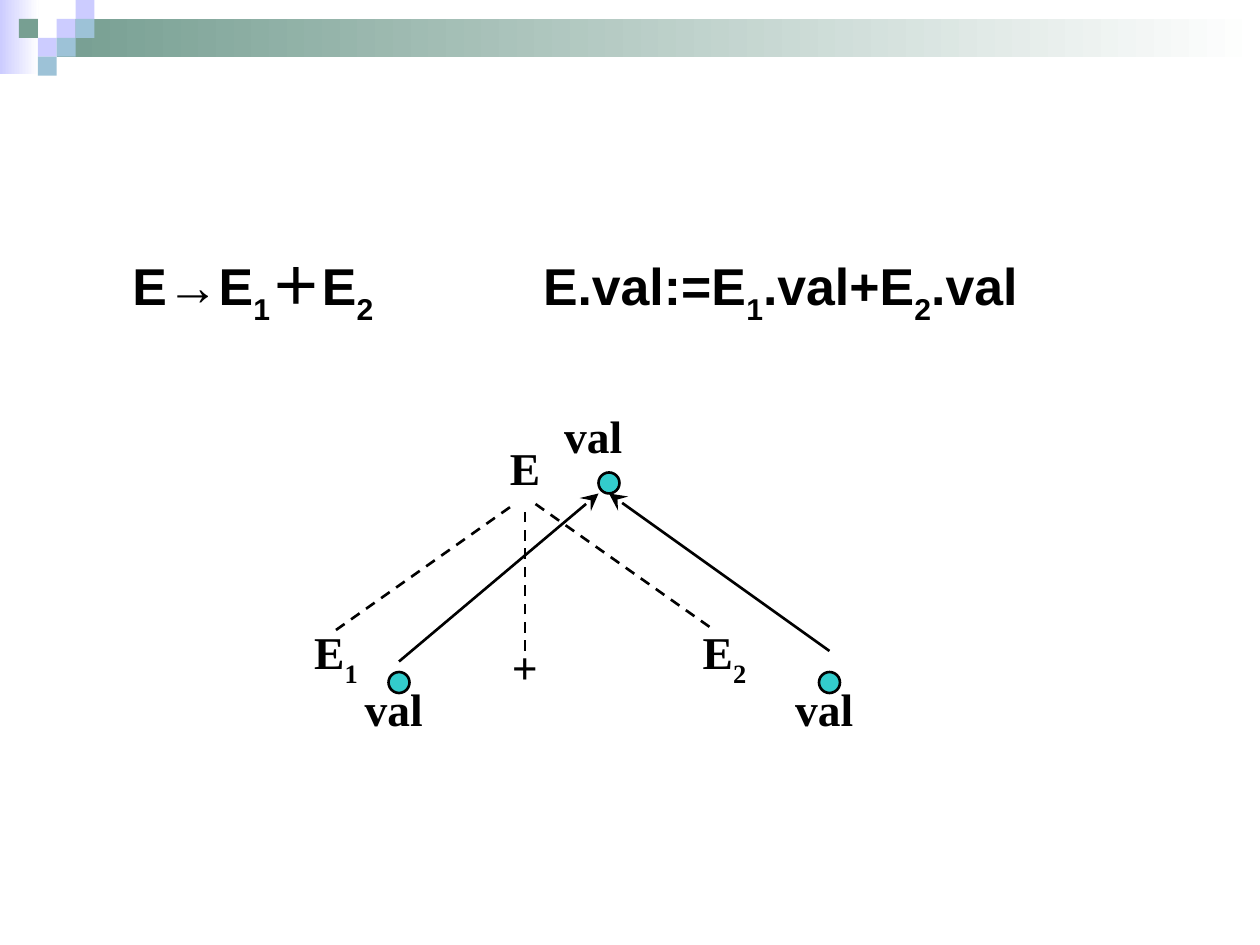
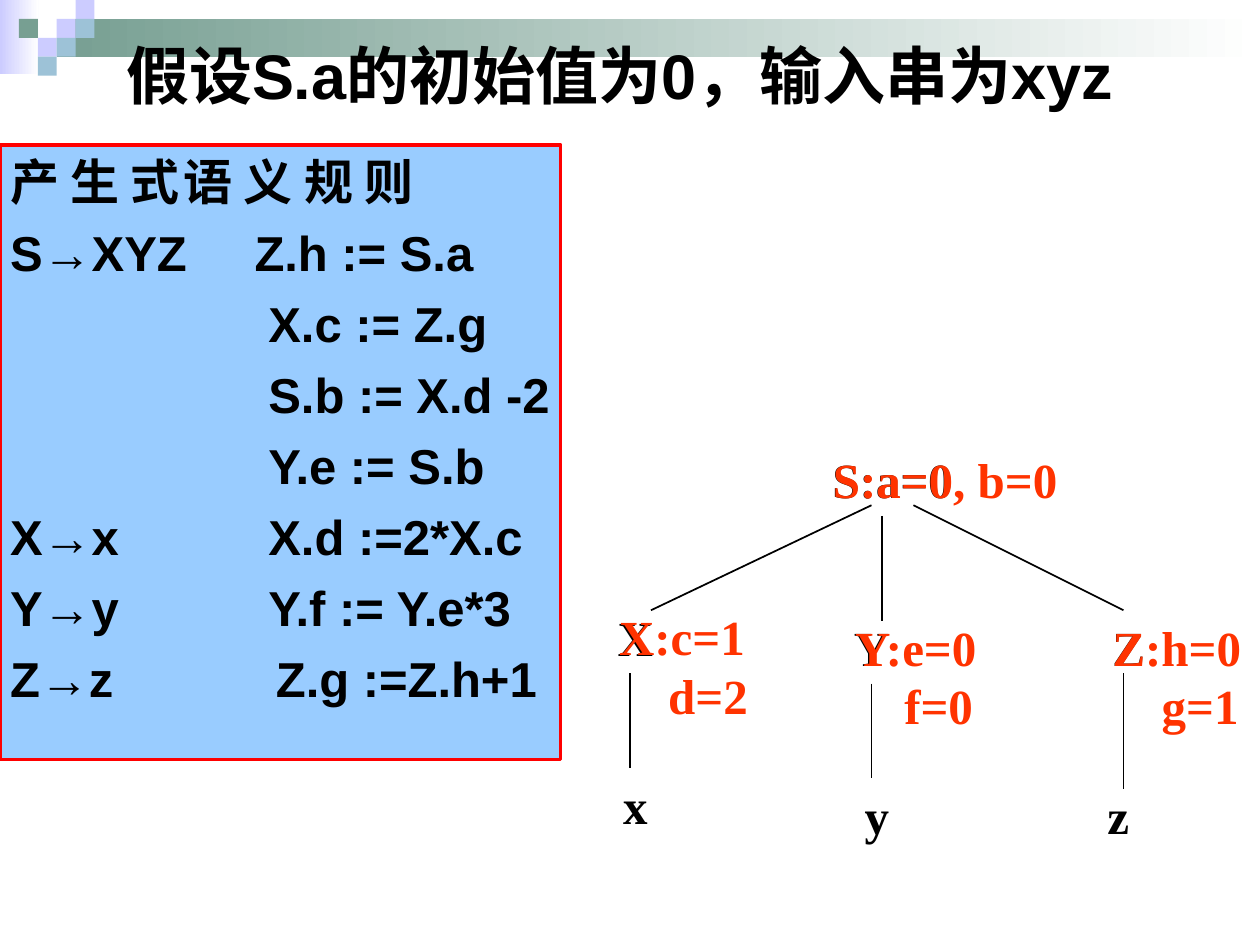
import dataclasses
import lxml.etree
import pptx
import pptx.dml.color
import pptx.enum.dml
import pptx.enum.shapes
import pptx.enum.text
import pptx.oxml.ns
import pptx.util

SHAPES = pptx.enum.shapes.MSO_SHAPE
MIDDLE = pptx.enum.text.MSO_ANCHOR.MIDDLE
LEFT = pptx.enum.text.PP_ALIGN.LEFT
CENTER = pptx.enum.text.PP_ALIGN.CENTER
SANS, SERIF = "Arial", "Times New Roman"
BLACK, WHITE, RED, ORANGE = "000000", "FFFFFF", "FF0000", "FF3300"
LILAC, SAGE, STEEL, SKY, TEAL = "CCCCFF", "779F92", "9DC2D7", "99CCFF", "33CCCC"
CELL = 1 / 12
TILE = 0.15


@dataclasses.dataclass
class Box:
    left: float
    top: float
    unit: float = CELL

    def at(self, column, row):
        return (pptx.util.Inches(self.left + column * self.unit),
                pptx.util.Inches(self.top + row * self.unit))

    def place(self, column, row, columns, rows):
        return (*self.at(column, row), pptx.util.Inches(columns * self.unit),
                pptx.util.Inches(rows * self.unit))


def color(value):
    return pptx.dml.color.RGBColor.from_string(value)


def add_element(parent, tag, **attributes):
    return lxml.etree.SubElement(parent, pptx.oxml.ns.qn(tag), attributes)


def set_font(para, name, size, tint=BLACK):
    font = para.font
    font.name, font.size, font.bold = name, pptx.util.Pt(size), True
    font.color.rgb = color(tint)


def add_spans(para, text):
    for index, part in enumerate(text.split("_")):
        if index:
            subscript = para.add_run()
            subscript.text, part = part[0], part[1:]
            subscript._r.get_or_add_rPr().set("baseline", "-30000")
        if part:
            para.add_run().text = part


def set_columns(para, second_column, hanging=True):
    properties = para._p.get_or_add_pPr()
    margin = pptx.util.Inches(second_column)
    properties.set("marL", str(margin))
    properties.set("indent", str(-margin if hanging else 0))
    add_element(properties, "a:buNone")
    para.alignment = LEFT


def place_placeholder(shape, left, top, width, height):
    shape.left, shape.top, shape.width, shape.height = map(
        pptx.util.Inches, (left, top, width, height))
    shape.text_frame.auto_size = pptx.enum.text.MSO_AUTO_SIZE.NONE
    shape.element.getparent().append(shape.element)
    return shape.text_frame


def add_solid(page, kind, place, fill, outline=None):
    shape = page.shapes.add_shape(kind, *place)
    shape.shadow.inherit = False
    shape.fill.solid()
    shape.fill.fore_color.rgb = color(fill)
    if outline:
        shape.line.color.rgb = color(outline)
        shape.line.width = pptx.util.Pt(1.5)
    else:
        shape.line.fill.background()
    return shape


def add_fade(page, place, start):
    shape = add_solid(page, SHAPES.RECTANGLE, place, start)
    shape.fill.gradient()
    shape.fill.gradient_angle = 0
    for stop, tint in zip(shape.fill.gradient_stops, (start, WHITE)):
        stop.color.rgb = color(tint)


def add_band(page, box):
    add_fade(page, box.place(0, 0, 2.05, 3.9), LILAC)
    add_fade(page, box.place(3, 1, 63.67, 2), SAGE)
    tiles = {LILAC: [(3, 1), (4, 0), (2, 2)], SAGE: [(1, 1)],
             STEEL: [(4, 1), (3, 2), (2, 3)]}
    for tint, corners in tiles.items():
        for corner in corners:
            add_solid(page, SHAPES.RECTANGLE, box.place(*corner, 1, 1), tint)


def add_label(page, place, text, size, tint=BLACK):
    label = page.shapes.add_textbox(*place)
    frame = label.text_frame
    frame.word_wrap = False
    frame.vertical_anchor = MIDDLE
    para = frame.paragraphs[0]
    para.alignment = CENTER
    add_spans(para, text)
    set_font(para, SERIF, size, tint)
    return frame


def add_attributes(page, place, first, second, inset):
    frame = add_label(page, place, first, 28, ORANGE)
    frame.margin_left = pptx.util.Inches(inset)
    frame.margin_top = pptx.util.Inches(0.01)
    frame.margin_right = 0
    frame.paragraphs[0].alignment = LEFT
    para = frame.add_paragraph()
    para.text = second
    para._p.get_or_add_pPr().set("marL", str(pptx.util.Inches(0.39)))
    set_font(para, SERIF, 28, ORANGE)


def add_line(page, start, end, width, dashed=False, arrow=False):
    line = page.shapes.add_connector(
        pptx.enum.shapes.MSO_CONNECTOR.STRAIGHT, *start, *end)
    line.line.color.rgb = color(BLACK)
    line.line.width = pptx.util.Pt(width)
    if dashed:
        line.line.dash_style = pptx.enum.dml.MSO_LINE.DASH
    if arrow:
        add_element(line.line._get_or_add_ln(), "a:tailEnd",
                    type="stealth", w="lg", len="lg")
    add_element(line.element.spPr, "a:effectLst")


def add_sum_tree(page, box):
    for text, place in (("E_1", (0, 21, 30, 7)), ("+", (27, 22, 12, 7)),
                        ("E_2", (37, 21, 30, 7)), ("E", (21, 3, 24, 7))):
        add_label(page, box.place(*place), text, 26)
    for start, end in (((15, 22), (32, 10)), ((33, 24), (33, 10)),
                       ((34, 10), (51, 22))):
        add_line(page, box.at(*start), box.at(*end), 1.5, dashed=True)
    for corner in ((35, 0), (16, 26), (57, 26)):
        add_label(page, box.place(*corner, 9, 7), "val", 26)
    for start, end in (((21, 25), (40, 9)), ((62, 24), (41, 9))):
        add_line(page, box.at(*start), box.at(*end), 1.5, arrow=True)
    for corner in ((20, 26), (61, 26), (40, 7)):
        add_solid(page, SHAPES.OVAL, box.place(*corner, 2, 2), TEAL, BLACK)


def add_value_tree(page, box):
    for text, place in (("S:a=0", (23, 0, 18, 7)), ("X", (0, 15, 15, 7)),
                        ("Y", (23, 16, 14, 7)), ("Z", (47, 16, 15, 7)),
                        ("x", (0, 31, 15, 7)), ("y", (23, 32, 15, 7)),
                        ("z", (46, 32, 15, 7))):
        add_label(page, box.place(*place), text, 28)
    for start, end in (((30, 6), (9, 16)), ((31, 7), (31, 17)),
                       ((34, 6), (54, 16)), ((7, 22), (7, 31)),
                       ((30, 23), (30, 32)), ((54, 22), (54, 33))):
        add_line(page, box.at(*start), box.at(*end), 1)
    add_label(page, box.place(21, 0, 32, 7), "S:a=0, b=0", 28, ORANGE)
    for first, second, place, inset in (
            ("Z:h=0", "g=1", (52, 17, 15, 11), 0.08),
            ("X:c=1", "d=2", (5, 16, 14, 11), 0.08),
            ("Y:e=0", "f=0", (27, 17, 14, 11), 0.12)):
        add_attributes(page, box.place(*place), first, second, inset)


def add_rules(body):
    frame = place_placeholder(body, 0, 1.15, 4.45, 4.88)
    frame.margin_left, frame.margin_right = pptx.util.Inches(0.08), 0
    body.fill.solid()
    body.fill.fore_color.rgb = color(SKY)
    body.line.color.rgb = color(RED)
    body.line.width = pptx.util.Pt(2)
    rules = (("产 生 式", "语 义 规 则", 1.38), ("S→XYZ", "Z.h := S.a", 1.94),
             ("", "X.c := Z.g", 2.05), ("", "S.b := X.d -2", 2.05),
             ("", "Y.e := S.b", 2.05), ("X→x", "X.d :=2*X.c", 2.05),
             ("Y→y", "Y.f := Y.e*3", 2.05), ("Z→z", "Z.g :=Z.h+1", 2.11))
    for index, (production, rule, second_column) in enumerate(rules):
        para = frame.add_paragraph() if index else frame.paragraphs[0]
        para.text = f"{production}\t{rule}" if production else rule
        set_columns(para, second_column, hanging=bool(production))
        para.space_before = pptx.util.Pt(7 if index else 0)
        set_font(para, SANS, 28)


def add_page(deck):
    page = deck.slides.add_slide(deck.slide_layouts[1])
    add_band(page, Box(0, 0, TILE))
    return page


def build_sum_page(deck):
    page = add_page(deck)
    title, body = page.placeholders
    title.element.getparent().remove(title.element)
    frame = place_placeholder(body, 0.83, 2, 8.75, 0.58)
    frame.margin_left = pptx.util.Inches(0.22)
    para = frame.paragraphs[0]
    add_spans(para, "E→E_1＋E_2\tE.val:=E_1.val+E_2.val")
    set_columns(para, 3.26)
    para.line_spacing = 0.8
    para.space_before = pptx.util.Pt(0)
    set_font(para, SANS, 29.6)
    add_sum_tree(page, Box(17 * CELL, 38 * CELL))


def build_value_page(deck):
    page = add_page(deck)
    title, body = page.placeholders
    frame = place_placeholder(title, 0.9, 0.28, 8.5, 0.62)
    frame.vertical_anchor = MIDDLE
    para = frame.paragraphs[0]
    para.text = "假设S.a的初始值为0，输入串为xyz"
    para.alignment = LEFT
    set_font(para, SANS, 36)
    add_value_tree(page, Box(53 * CELL, 3.51))
    add_rules(body)


def main():
    deck = pptx.Presentation()
    deck.slide_width = pptx.util.Inches(10)
    deck.slide_height = pptx.util.Inches(7.5)
    build_sum_page(deck)
    build_value_page(deck)
    deck.save("out.pptx")


if __name__ == "__main__":
    main()
